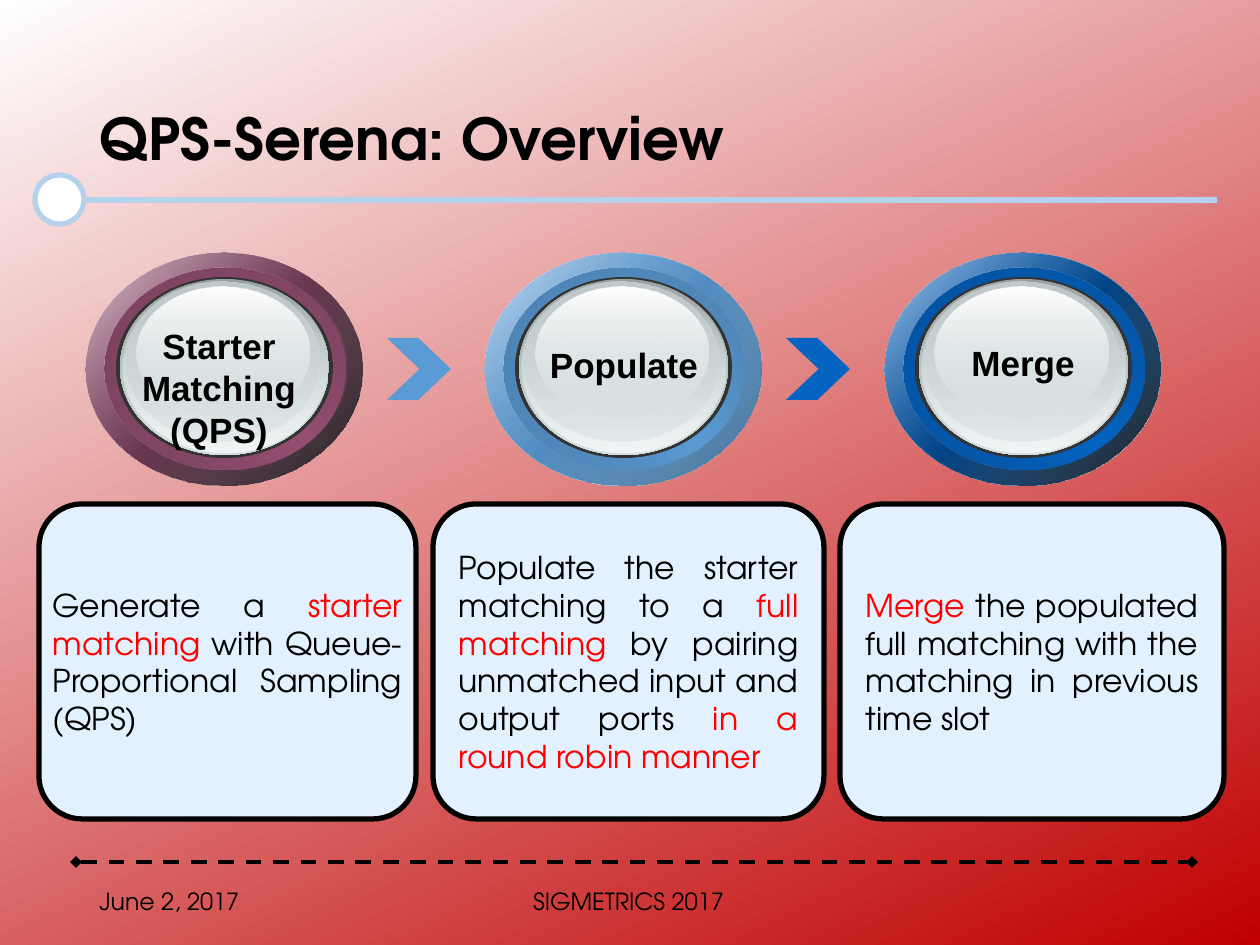
import pptx
import pptx.util
from lxml import etree
from pptx.dml.color import RGBColor
from pptx.enum.dml import MSO_LINE
from pptx.enum.shapes import MSO_CONNECTOR, MSO_SHAPE
from pptx.enum.text import MSO_ANCHOR, MSO_AUTO_SIZE, PP_ALIGN
from pptx.oxml import parse_xml
from pptx.oxml.ns import nsdecls, qn

PX = 914400 / 126
COLORS = {
    "black": "000000", "white": "FFFFFF", "red": "FF0000", "dark_red": "C00000",
    "card": "E3F1FF", "rule": "B5D2EC", "rim": "333333",
    "blue": "5B9BD5", "deep_blue": "0563C1",
}
HEAD_FONT, LABEL_FONT = "TeX Gyre Adventor", "Arial"

# ring left; ring colour; shadow stop; two darker shades; label lines and box; card left, width, inset, text
STEPS = [
    {"left": 86, "color": "954F72", "shadow": ("000000", 90), "shades": ("723C57", "7A415E"),
     "label": ["Starter Matching", "(QPS)"], "label_box": (105, 318, 228, 140), "wrap": True,
     "card": (39, 377), "inset": 1,
     "text": [("Generate a ", "black"), ("starter matching ", "red"),
              ("with Queue-Proportional Sampling (QPS)", "black")]},
    {"left": 485, "color": COLORS["blue"], "shadow": ("416F98", 100), "shades": ("4677A3", "4B7FAF"),
     "label": ["Populate"], "label_box": (508, 337, 232, 55), "wrap": True,
     "card": (433, 391), "inset": 13,
     "text": [("Populate the starter matching to a ", "black"), ("full matching", "red"),
              (" by pairing unmatched input and output ports ", "black"),
              ("in a round robin manner", "red")]},
    {"left": 885, "color": COLORS["deep_blue"], "shadow": ("000000", 90), "shades": ("044C94", "04519E"),
     "label": ["Merge"], "label_box": (958, 335, 130, 55), "wrap": False,
     "card": (840, 384), "inset": 13,
     "text": [("Merge", "red"),
              (" the populated full matching with the matching in previous time slot", "black")]},
]
RING_TOP = 253
OUTER, INNER, RIM = (0, 0, 276, 233), (19, 15, 241, 202), (30, 24, 217, 181)
# offset from the ring and size; (colour, opacity) at top and bottom
GLASS = [
    ((34, 26, 209, 176), ("99A1A2", 100), ("D6E1E2", 100)),
    ((37, 28, 204, 171), ("D6E1E2", 0), ("F2F5F5", 100)),
    ((39, 29, 194, 160), ("C1CBCC", 100), ("D6E1E2", 48)),
    ((50, 34, 173, 130), ("FFFFFF", 100), ("D6E1E2", 38)),
]
CHEVRONS = [(387, "blue"), (786, "deep_blue")]
FOOTERS = [("June 2, 2017", (87, 876, 284, 50), PP_ALIGN.LEFT),
           ("SIGMETRICS 2017", (304, 876, 649, 50), PP_ALIGN.CENTER)]


def emu(*lengths):
    return [round(length * PX) for length in lengths]


def rgb(value):
    return RGBColor.from_string(COLORS.get(value, value))


def apply(target, formats):
    for name, value in formats.items():
        setattr(target, name, value)


def set_gradient(properties, angle, *stops):
    """Swap the solid fill in a properties element for evenly spaced (colour, opacity) stops."""
    stop_xml = "".join(
        f'<a:gs pos="{100000 * index // (len(stops) - 1)}"><a:srgbClr val="{color}">'
        f'<a:alpha val="{opacity * 1000}"/></a:srgbClr></a:gs>'
        for index, (color, opacity) in enumerate(stops))
    solid = properties.find(qn("a:solidFill"))
    properties.replace(solid, parse_xml(
        f'<a:gradFill {nsdecls("a")} rotWithShape="1"><a:gsLst>{stop_xml}</a:gsLst>'
        f'<a:lin ang="{angle * 60000}" scaled="0"/></a:gradFill>'))


def add_shape(slide, kind, box, fill, line=None):
    shape = slide.shapes.add_shape(kind, *emu(*box))
    shape.shadow.inherit = False
    shape.fill.solid()
    shape.fill.fore_color.rgb = rgb(fill)
    if line:
        shape.line.color.rgb = rgb(line)
        shape.line.width = pptx.util.Pt(3)
    else:
        shape.line.fill.background()
    return shape


def add_line(slide, left, right, y, color, width):
    line = slide.shapes.add_connector(MSO_CONNECTOR.STRAIGHT, *emu(left, y, right, y))
    line.line.color.rgb = rgb(color)
    line.line.width = pptx.util.Pt(width)
    etree.SubElement(line.element.spPr, qn("a:effectLst"))
    return line


def write(frame, lines, align, font, size, bold=False):
    """Fill a text frame with lines, each a list of (text, colour) runs."""
    for index, runs in enumerate(lines):
        paragraph = frame.add_paragraph() if index else frame.paragraphs[0]
        paragraph.alignment = align
        for text, color in runs:
            run = paragraph.add_run()
            run.text = text
            apply(run.font, {"name": font, "size": pptx.util.Pt(size), "bold": bold})
            run.font.color.rgb = rgb(color)


def add_text(slide, box, lines, align, font, size, bold=False, wrap=True, anchor=MSO_ANCHOR.TOP):
    frame = slide.shapes.add_textbox(*emu(*box)).text_frame
    apply(frame, {"word_wrap": wrap, "vertical_anchor": anchor})
    write(frame, [[(text, "black")] for text in lines], align, font, size, bold)


def add_title(slide, text):
    title = slide.shapes.title
    apply(title, dict(zip(("left", "top", "width", "height"), emu(87, 50, 1086, 183))))
    apply(title.text_frame, {"vertical_anchor": MSO_ANCHOR.MIDDLE, "auto_size": MSO_AUTO_SIZE.NONE})
    write(title.text_frame, [[(text, "black")]], PP_ALIGN.LEFT, HEAD_FONT, 33, True)
    paragraph = title.text_frame.paragraphs[0]
    paragraph.line_spacing = 0.9
    fill = paragraph.runs[0].font._element.find(qn("a:solidFill"))
    fill.addnext(parse_xml(
        f'<a:effectLst {nsdecls("a")}><a:outerShdw blurRad="38100" dist="38100" dir="2700000">'
        '<a:srgbClr val="000000"><a:alpha val="43000"/></a:srgbClr></a:outerShdw></a:effectLst>'))


def add_ring(slide, step):
    color, (edge, glow) = step["color"], step["shades"]
    white = (COLORS["white"], 100)
    layers = [
        (OUTER, 45, [white, (color, 100), white]),
        (OUTER, 45, [(color, 32), step["shadow"]]),
        (INNER, 315, [(edge, 100), (color, 100), (edge, 100)]),
        (INNER, 45, [(glow, 100), (color, 0)]),
        (RIM, 0, None),
    ] + [(box, 90, [top, bottom]) for box, top, bottom in GLASS]
    for (x, y, width, height), angle, stops in layers:
        box = (step["left"] + x, RING_TOP + y, width, height)
        ellipse = add_shape(slide, MSO_SHAPE.OVAL, box, "rim")
        if stops:
            set_gradient(ellipse.element.spPr, angle, *stops)


def add_card(slide, step):
    left, width = step["card"]
    card = add_shape(slide, MSO_SHAPE.ROUNDED_RECTANGLE, (left, 504, width, 315), "card", "black")
    card.adjustments[0] = 0.137
    inset = emu(step["inset"])[0]
    apply(card.text_frame, {"word_wrap": True, "vertical_anchor": MSO_ANCHOR.MIDDLE,
                            "margin_left": inset, "margin_right": inset})
    write(card.text_frame, [step["text"]], PP_ALIGN.JUSTIFY, HEAD_FONT, 18)


def main():
    presentation = pptx.Presentation()
    presentation.slide_width, presentation.slide_height = emu(1260, 945)
    slide = presentation.slides.add_slide(presentation.slide_layouts[5])
    slide.background.fill.solid()
    slide.background.fill.fore_color.rgb = rgb("white")
    set_gradient(slide.element.xpath("p:cSld/p:bg/p:bgPr")[0], 65,
                 (COLORS["white"], 100), (COLORS["dark_red"], 100))

    add_line(slide, 87, 1217, 200, "rule", 3)
    add_shape(slide, MSO_SHAPE.OVAL, (35, 175, 49, 49), "white", "rule")
    dashed = add_line(slide, 76, 1192, 862, "black", 2.25)
    dashed.line.dash_style = MSO_LINE.DASH
    for end in ("a:headEnd", "a:tailEnd"):
        etree.SubElement(dashed.element.spPr.find(qn("a:ln")), qn(end), type="diamond")
    add_title(slide, "QPS-Serena: Overview")

    for left, color in CHEVRONS:
        chevron = add_shape(slide, MSO_SHAPE.CHEVRON, (left, 338, 64, 62), color)
        chevron.adjustments[0] = 0.525
    for step in STEPS:
        add_card(slide, step)
        add_ring(slide, step)
        add_text(slide, step["label_box"], step["label"], PP_ALIGN.CENTER, LABEL_FONT, 20,
                 bold=True, wrap=step["wrap"])
    for text, box, align in FOOTERS:
        add_text(slide, box, [text], align, HEAD_FONT, 13.5, anchor=MSO_ANCHOR.MIDDLE)
    presentation.save("out.pptx")


if __name__ == "__main__":
    main()
